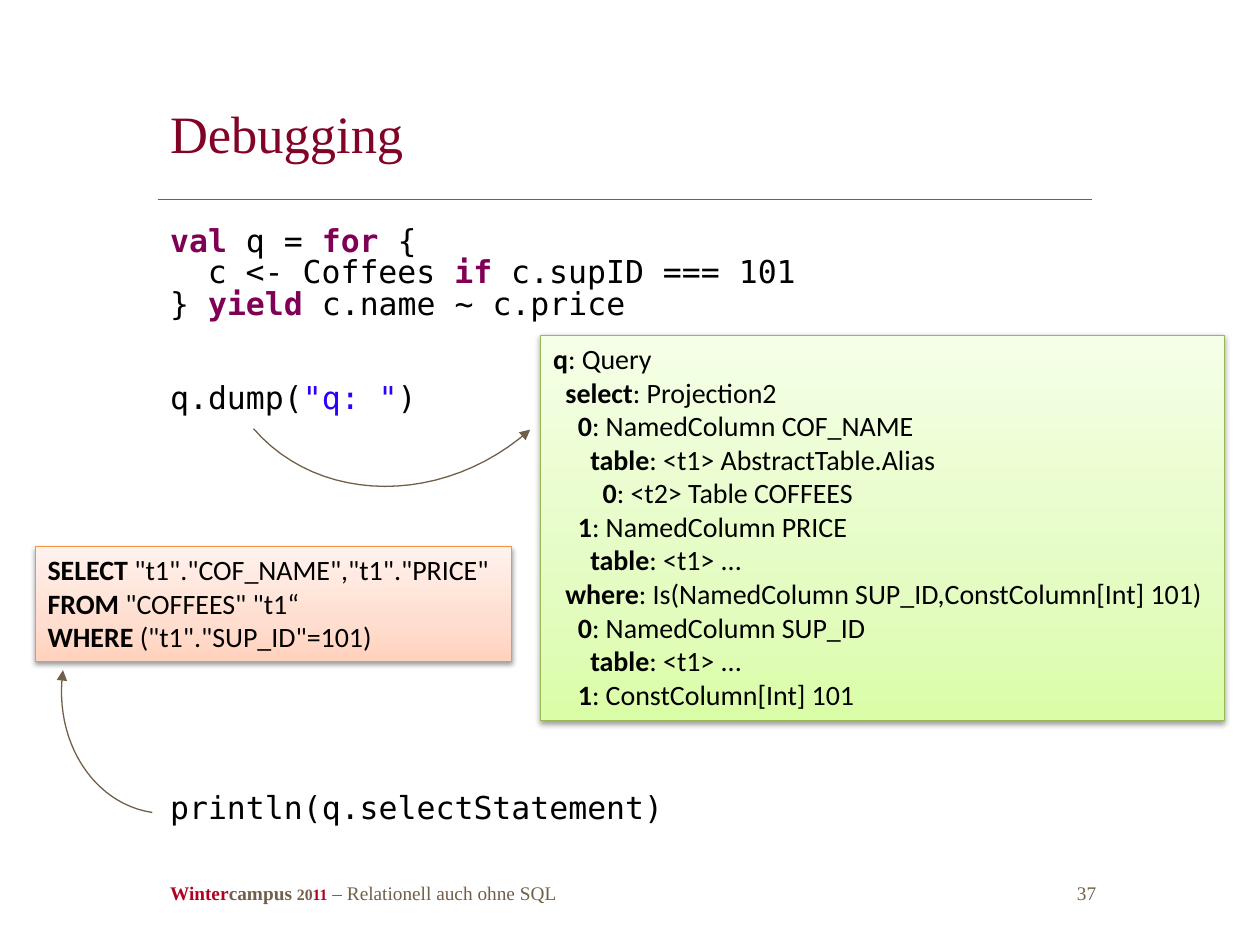
from dataclasses import dataclass

from lxml.etree import SubElement
from pptx import Presentation
from pptx.dml.color import RGBColor
from pptx.enum.shapes import MSO_CONNECTOR, MSO_SHAPE
from pptx.enum.text import MSO_ANCHOR, PP_ALIGN
from pptx.oxml import parse_xml
from pptx.oxml.ns import nsdecls, qn
from pptx.util import Cm, Pt


@dataclass(frozen=True)
class Theme:
    serif: str = "Times New Roman"
    mono: str = "DejaVu Sans Mono"
    sans: str = "Calibri"
    title: str = "810426"
    accent: str = "B20025"
    muted: str = "715F49"
    black: str = "000000"
    keyword: str = "7F0055"
    literal: str = "2A00FF"
    title_size: float = 30
    code_size: float = 18
    dump_size: float = 16
    footer_size: float = 11
    year_size: float = 9
    hairline: float = 0.25
    outline: float = 0.75


THEME = Theme()

KEYWORD = (THEME.keyword, True)
PLAIN = (THEME.black, False)
LITERAL = (THEME.literal, False)
STRONG = (THEME.black, True)

TITLE = "Debugging"

# indent level, blank lines above, pieces
CODE = [
    (0, 0, [("val ", KEYWORD), ("q = ", PLAIN), ("for", KEYWORD), (" {", PLAIN)]),
    (1, 0, [("c <- Coffees ", PLAIN), ("if ", KEYWORD), ("c.supID === 101", PLAIN)]),
    (0, 0, [("} ", PLAIN), ("yield", KEYWORD), (" c.name ~ c.price", PLAIN)]),
    (0, 2, [("q.dump(", PLAIN), ('"q: "', LITERAL), (")", PLAIN)]),
    (0, 12, [("println(q.selectStatement)", PLAIN)]),
]

QUERY_TREE = [
    (0, "q", ": Query"),
    (1, "select", ": Projection2"),
    (2, "0", ": NamedColumn COF_NAME"),
    (3, "table", ": <t1> AbstractTable.Alias"),
    (4, "0", ": <t2> Table COFFEES"),
    (2, "1", ": NamedColumn PRICE"),
    (3, "table", ": <t1> ..."),
    (1, "where", ": Is(NamedColumn SUP_ID,ConstColumn[Int] 101)"),
    (2, "0", ": NamedColumn SUP_ID"),
    (3, "table", ": <t1> ..."),
    (2, "1", ": ConstColumn[Int] 101"),
]

SQL = [
    (0, "SELECT", ' "t1"."COF_NAME","t1"."PRICE"'),
    (0, "FROM ", '"COFFEES" "t1“'),
    (0, "WHERE ", '("t1"."SUP_ID"=101)'),
]

PANELS = [
    (QUERY_TREE, (10.9, 6.76, 13.79, 7.77), ("DAFDA7", "E4FCC2", "F5FFE7"), "98B955"),
    (SQL, (0.71, 11.02, 9.6, 2.31), ("FFD2BD", "FFDED0", "FFF2ED"), "F69240"),
]

FOOTER = [
    ("Winter", THEME.accent, True, THEME.footer_size),
    ("campus ", THEME.muted, True, THEME.footer_size),
    ("20", THEME.muted, True, THEME.year_size),
    ("11", THEME.accent, True, THEME.year_size),
    (" – Relationell auch ohne SQL\t37", THEME.muted, False, THEME.footer_size),
]

ARROWS = [
    [(5.11, 8.64), (6.45, 10.19), (8.97, 10.19), (10.69, 8.66)],
    [(3.07, 16.38), (1.88, 16.2), (1.07, 14.94), (1.27, 13.51)],
]
ARROW_STEPS = 24
STOPS = (0, 35, 100)
CODE_INDENT = 0.76
TREE_INDENT = 0.25

deck = Presentation()
deck.slide_width, deck.slide_height = Cm(25.4), Cm(19.05)
slide = deck.slides.add_slide(deck.slide_layouts[6])


def add_piece(paragraph, text, font, size, color, bold=False):
    run = paragraph.add_run()
    run.text = text
    run.font.name = font
    run.font.size = Pt(size)
    run.font.bold = bold
    run.font.color.rgb = RGBColor.from_string(color)


def add_text(left, top, width, height):
    frame = slide.shapes.add_textbox(Cm(left), Cm(top), Cm(width), Cm(height)).text_frame
    frame.word_wrap = True
    return frame


def next_paragraph(frame, index, indent=0.0):
    paragraph = frame.add_paragraph() if index else frame.paragraphs[0]
    paragraph.alignment = PP_ALIGN.LEFT
    paragraph._p.get_or_add_pPr().set("marL", str(Cm(indent)))
    return paragraph


def style_line(line, color, width):
    line.color.rgb = RGBColor.from_string(color)
    line.width = Pt(width)


def add_panel(rows, box, colors, border):
    panel = slide.shapes.add_shape(MSO_SHAPE.RECTANGLE, *map(Cm, box))
    properties = panel._element.spPr
    stops = "".join(
        f'<a:gs pos="{stop * 1000}"><a:srgbClr val="{color}"/></a:gs>'
        for stop, color in zip(STOPS, colors)
    )
    properties.insert(2, parse_xml(
        f'<a:gradFill {nsdecls("a")} rotWithShape="1"><a:gsLst>{stops}</a:gsLst>'
        '<a:lin ang="16200000" scaled="1"/></a:gradFill>'
    ))
    style_line(panel.line, border, THEME.outline)
    panel.shadow.inherit = False
    properties.find(qn("a:effectLst")).append(parse_xml(
        f'<a:outerShdw {nsdecls("a")} blurRad="{Pt(3.1)}" dist="{Pt(1.6)}" dir="5400000"'
        f' rotWithShape="0"><a:srgbClr val="{THEME.black}"><a:alpha val="38000"/>'
        '</a:srgbClr></a:outerShdw>'
    ))
    frame = panel.text_frame
    frame.word_wrap = True
    frame.vertical_anchor = MSO_ANCHOR.TOP
    for index, (level, label, value) in enumerate(rows):
        paragraph = next_paragraph(frame, index, level * TREE_INDENT)
        for text, (color, bold) in ((label, STRONG), (value, PLAIN)):
            add_piece(paragraph, text, THEME.sans, THEME.dump_size, color, bold)


def curve_point(controls, t):
    weights = ((1 - t) ** 3, 3 * t * (1 - t) ** 2, 3 * t * t * (1 - t), t ** 3)
    return tuple(Cm(sum(w * c[axis] for w, c in zip(weights, controls))) for axis in (0, 1))


def add_arrow(controls):
    start, *rest = [curve_point(controls, i / ARROW_STEPS) for i in range(ARROW_STEPS + 1)]
    builder = slide.shapes.build_freeform(*start)
    builder.add_line_segments(rest, close=False)
    arrow = builder.convert_to_shape()
    arrow.fill.background()
    arrow.shadow.inherit = False
    style_line(arrow.line, THEME.muted, THEME.outline)
    SubElement(arrow._element.spPr.find(qn("a:ln")), qn("a:tailEnd"), type="triangle")


footer = add_text(3.18, 17.65, 19.25, 0.74).paragraphs[0]
for text, color, bold, size in FOOTER:
    add_piece(footer, text, THEME.serif, size, color, bold)
tabs = SubElement(footer._p.get_or_add_pPr(), qn("a:tabLst"))
SubElement(tabs, qn("a:tab"), pos=str(Cm(18.67)), algn="r")

heading = add_text(3.18, 1.47, 18.85, 2.54)
heading.vertical_anchor = MSO_ANCHOR.MIDDLE
heading.paragraphs[0].line_spacing = Pt(32)
add_piece(heading.paragraphs[0], TITLE, THEME.serif, THEME.title_size, THEME.title)

listing = add_text(3.18, 4.45, 19.53, 12.57)
for index, (level, blank_lines, pieces) in enumerate(CODE):
    paragraph = next_paragraph(listing, index, level * CODE_INDENT)
    paragraph.line_spacing = Pt(THEME.code_size)
    paragraph.space_before = Pt(blank_lines * THEME.code_size)
    for text, (color, bold) in pieces:
        add_piece(paragraph, text, THEME.mono, THEME.code_size, color, bold)

rule = slide.shapes.add_connector(MSO_CONNECTOR.STRAIGHT, Cm(3.18), Cm(4.02), Cm(22.02), Cm(4.02))
style_line(rule.line, THEME.muted, THEME.hairline)
SubElement(rule._element.spPr, qn("a:effectLst"))

for panel in PANELS:
    add_panel(*panel)
for arrow in ARROWS:
    add_arrow(arrow)

deck.save("out.pptx")
